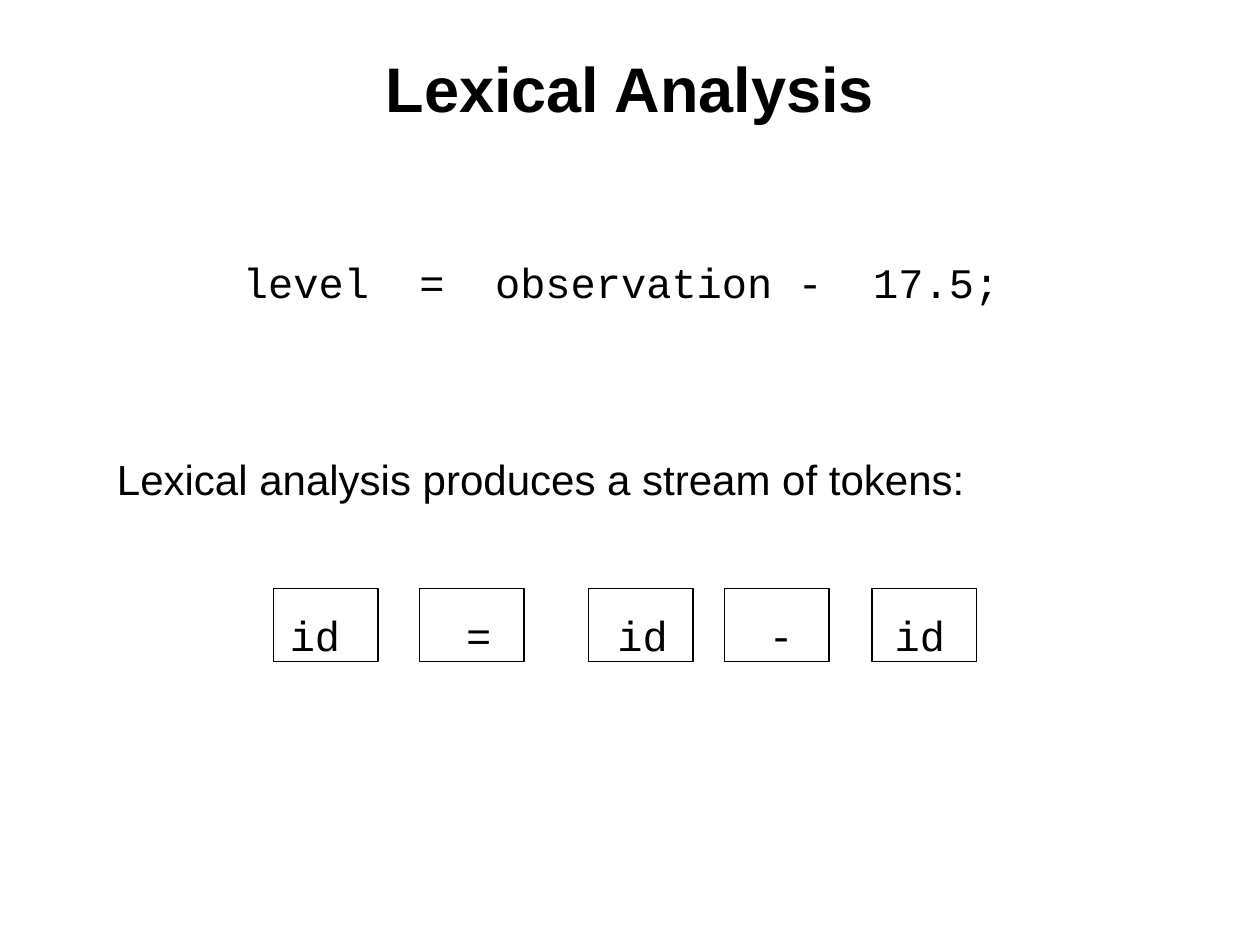
from pptx import Presentation
from pptx import util as u
from pptx.dml.color import RGBColor
from pptx.enum import shapes, text

BLACK = "000000"
SANS, MONO = "Arial", "Courier New"
TOKENS = [("id", 2.17, 0.13), ("=", 3.33, 0.37), ("id", 4.67, 0.23),
          ("-", 5.75, 0.35), ("id", 6.92, 0.18)]


def color(value):
    return RGBColor.from_string(value)


def write(sp, content, font, frame=None, align=text.PP_ALIGN.LEFT):
    tf = sp.text_frame
    tf.word_wrap = True
    for name, value in (frame or {}).items():
        setattr(tf, name, value)
    p = tf.paragraphs[0]
    p.alignment = align
    r = p.add_run()
    r.text = content
    for name, value in font.items():
        setattr(r.font, name, value)
    r.font.color.rgb = color(BLACK)


def add_text(s, content, box, font, **kwargs):
    sp = s.shapes.add_textbox(*map(u.Inches, box))
    write(sp, content, font, **kwargs)


def add_token(s, content, left, indent, font):
    sp = s.shapes.add_shape(shapes.MSO_SHAPE.RECTANGLE,
                            *map(u.Inches, (left, 4.67, 0.83, 0.58)))
    sp.shadow.inherit = False
    sp.fill.background()
    sp.line.color.rgb = color(BLACK)
    sp.line.width = u.Pt(0.75)
    frame = {"vertical_anchor": text.MSO_ANCHOR.TOP,
             "margin_left": u.Inches(indent), "margin_right": 0,
             "margin_top": u.Inches(0.17), "margin_bottom": 0}
    write(sp, content, font, frame)


def main():
    prs = Presentation()
    prs.slide_width, prs.slide_height = u.Inches(10), u.Inches(7.5)
    s = prs.slides.add_slide(prs.slide_layouts[6])
    body = {"name": SANS, "size": u.Pt(24)}
    code = {"name": MONO, "size": u.Pt(24)}

    add_text(s, "Lexical Analysis", (0.5, 0.3, 9, 0.78),
             {"name": SANS, "size": u.Pt(36), "bold": True},
             frame={"vertical_anchor": text.MSO_ANCHOR.MIDDLE},
             align=text.PP_ALIGN.CENTER)
    add_text(s, "level  =  observation -  17.5;", (1.83, 1.99, 7.58, 0.48), code)
    add_text(s, "Lexical analysis produces a stream of tokens:",
             (0.83, 3.55, 8.58, 0.48), body)
    for content, left, indent in TOKENS:
        add_token(s, content, left, indent, code)
    prs.save("out.pptx")


if __name__ == "__main__":
    main()
